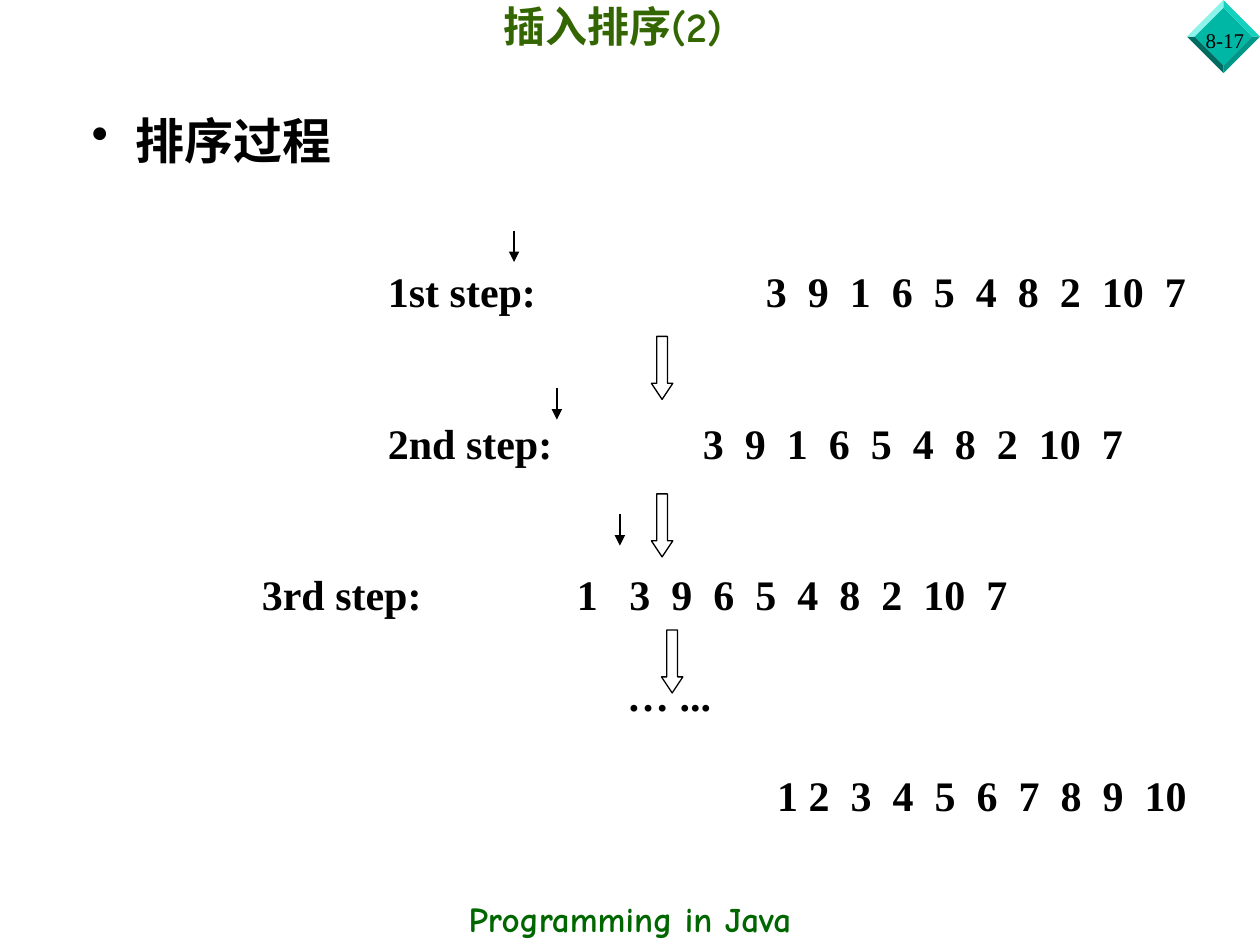
import lxml.etree
import pptx
import pptx.dml.color
import pptx.enum.shapes
import pptx.enum.text
import pptx.oxml.ns
import pptx.util

Inches = pptx.util.Inches
Pt = pptx.util.Pt
qn = pptx.oxml.ns.qn
SHAPES = pptx.enum.shapes.MSO_SHAPE
ALIGN = pptx.enum.text.PP_ALIGN

THEME = {
    "serif": "Times New Roman", "casual": "Comic Neue",
    "black": "000000", "white": "FFFFFF", "title": "336600", "footer": "006600",
    "gem": "00B7A5", "facets": ["14D1BE", "009688", "006B61", "8CF4EA"],
    "small": 12, "footer_size": 20, "body": 24, "heading": 28, "line": 0.75,
}

HEADING = "排序过程"
ROWS = [
    {"label": "1st step:", "label_x": 3.08, "x": 6.08, "values": "3 9 1 6 5 4 8 2 10 7", "before": 55},
    {"label": "2nd step:", "label_x": 3.08, "x": 5.58, "values": "3 9 1 6 5 4 8 2 10 7", "before": 57.6},
    {"label": "3rd step:", "label_x": 2.08, "x": 4.58, "values": "1 3 9 6 5 4 8 2 10 7",
     "before": 57.6, "first_gap": 3},
    {"x": 4.98, "text": "… ...", "before": 28.8},
    {"x": 6.17, "values": "1 2 3 4 5 6 7 8 9 10", "before": 28.8, "first_gap": 1},
]
BLOCK_ARROWS = [(5.17, 2.67), (5.17, 3.92), (5.25, 5)]
POINTERS = [(4.08, 1.83), (4.42, 3.08), (4.92, 4.08)]
BODY = (0.5, 0.83, 9.14, 5.77)
TEXT_LEFT = BODY[0] + 0.1
SPACE_WIDTH = THEME["body"] / 4 / 72
DIGIT_WIDTH = 2 * SPACE_WIDTH


def color(name):
    return pptx.dml.color.RGBColor.from_string(THEME.get(name, name))


def write_text(para, text, font="serif", size="body", ink="black", bold=True,
               align=ALIGN.LEFT, spacing=None, before=None, bullet=False, stops=()):
    properties = para._p.get_or_add_pPr()
    if bullet:
        properties.set("marL", str(Inches(0.48)))
        properties.set("indent", str(Inches(-0.35)))
        lxml.etree.SubElement(properties, qn("a:buChar")).set("char", "•")
    if stops:
        tabs = lxml.etree.SubElement(properties, qn("a:tabLst"))
        for stop in stops:
            tab = lxml.etree.SubElement(tabs, qn("a:tab"))
            tab.set("pos", str(Inches(stop - TEXT_LEFT)))
            tab.set("algn", "l")
    para.alignment = align
    if spacing is not None:
        para.line_spacing = spacing
    if before is not None:
        para.space_before = Pt(before)
    span = para.add_run()
    span.text = text
    span.font.name = THEME[font]
    span.font.size = Pt(THEME[size])
    span.font.bold = bold
    span.font.color.rgb = color(ink)


def add_box(page, left, top, width, height, wrap=True):
    box = page.shapes.add_textbox(Inches(left), Inches(top), Inches(width), Inches(height))
    box.text_frame.word_wrap = wrap
    return box


def row_layout(row):
    """Return the tabbed text of a row and its tab stops."""
    texts, stops = [], []
    if "label" in row:
        texts.append(row["label"])
        stops.append(row["label_x"])
    left = row["x"]
    values = row["values"].split() if "values" in row else [row["text"]]
    for index, value in enumerate(values):
        texts.append(value)
        stops.append(left)
        gap = row.get("first_gap", 2) if index == 0 else 2
        left += len(value) * DIGIT_WIDTH + gap * SPACE_WIDTH
    return "\t" + "\t".join(texts), stops


def add_gem(page):
    center_x, center_y, outer, inner = 9.71, 0.29, 0.29, 0.23
    directions = [(0, -1), (1, 0), (0, 1), (-1, 0)]

    def tips(radius):
        return [(Inches(center_x + radius * x), Inches(center_y + radius * y)) for x, y in directions]

    outside, inside = tips(outer), tips(inner)
    pieces = [(inside, "gem")]
    for index, fill in enumerate(THEME["facets"]):
        following = (index + 1) % 4
        pieces.append(([inside[index], outside[index], outside[following], inside[following]], fill))
    group = page.shapes.add_group_shape()
    for points, fill in pieces:
        builder = group.shapes.build_freeform(*points[0])
        builder.add_line_segments(points[1:], close=True)
        facet = builder.convert_to_shape()
        facet.shadow.inherit = False
        facet.fill.solid()
        facet.fill.fore_color.rgb = color(fill)
        facet.line.fill.background()


def add_steps(page):
    box = add_box(page, *BODY)
    box.fill.solid()
    box.fill.fore_color.rgb = color("white")
    frame = box.text_frame
    write_text(frame.paragraphs[0], HEADING, size="heading", bullet=True)
    for row in ROWS:
        text, stops = row_layout(row)
        write_text(frame.add_paragraph(), text, stops=stops, before=row["before"], spacing=Pt(28.8))


def add_block_arrow(page, left, top):
    arrow = page.shapes.add_shape(SHAPES.DOWN_ARROW, Inches(left), Inches(top), Inches(0.17), Inches(0.5))
    arrow.adjustments[0] = 0.5
    arrow.adjustments[1] = 0.75
    arrow.shadow.inherit = False
    arrow.fill.solid()
    arrow.fill.fore_color.rgb = color("white")
    arrow.line.color.rgb = color("black")
    arrow.line.width = Pt(THEME["line"])


def add_pointer(page, left, top):
    pointer = page.shapes.add_connector(
        pptx.enum.shapes.MSO_CONNECTOR.STRAIGHT,
        Inches(left), Inches(top), Inches(left), Inches(top + 0.25))
    pointer.line.color.rgb = color("black")
    pointer.line.width = Pt(THEME["line"])
    outline = pointer.line._get_or_add_ln()
    lxml.etree.SubElement(outline, qn("a:tailEnd")).set("type", "triangle")
    lxml.etree.SubElement(pointer._element.spPr, qn("a:effectLst"))


def main():
    deck = pptx.Presentation()
    deck.slide_width, deck.slide_height = Inches(10), Inches(7.5)
    page = deck.slides.add_slide(deck.slide_layouts[6])
    add_gem(page)
    number = add_box(page, 9.47, 0.17, 0.53, 0.3)
    write_text(number.text_frame.paragraphs[0], "8-17", size="small", bold=False)
    footer = add_box(page, 0, 7.07, 10, 0.44)
    write_text(footer.text_frame.paragraphs[0], "Programming in Java", font="casual",
               size="footer_size", ink="footer", align=ALIGN.CENTER)
    add_steps(page)
    title = add_box(page, 3.9, 0, 2.01, 0.46, wrap=False)
    write_text(title.text_frame.paragraphs[0], "插入排序(2)", font="casual", ink="title", spacing=0.9)
    for place in BLOCK_ARROWS:
        add_block_arrow(page, *place)
    for place in POINTERS:
        add_pointer(page, *place)
    deck.save("out.pptx")


if __name__ == "__main__":
    main()
